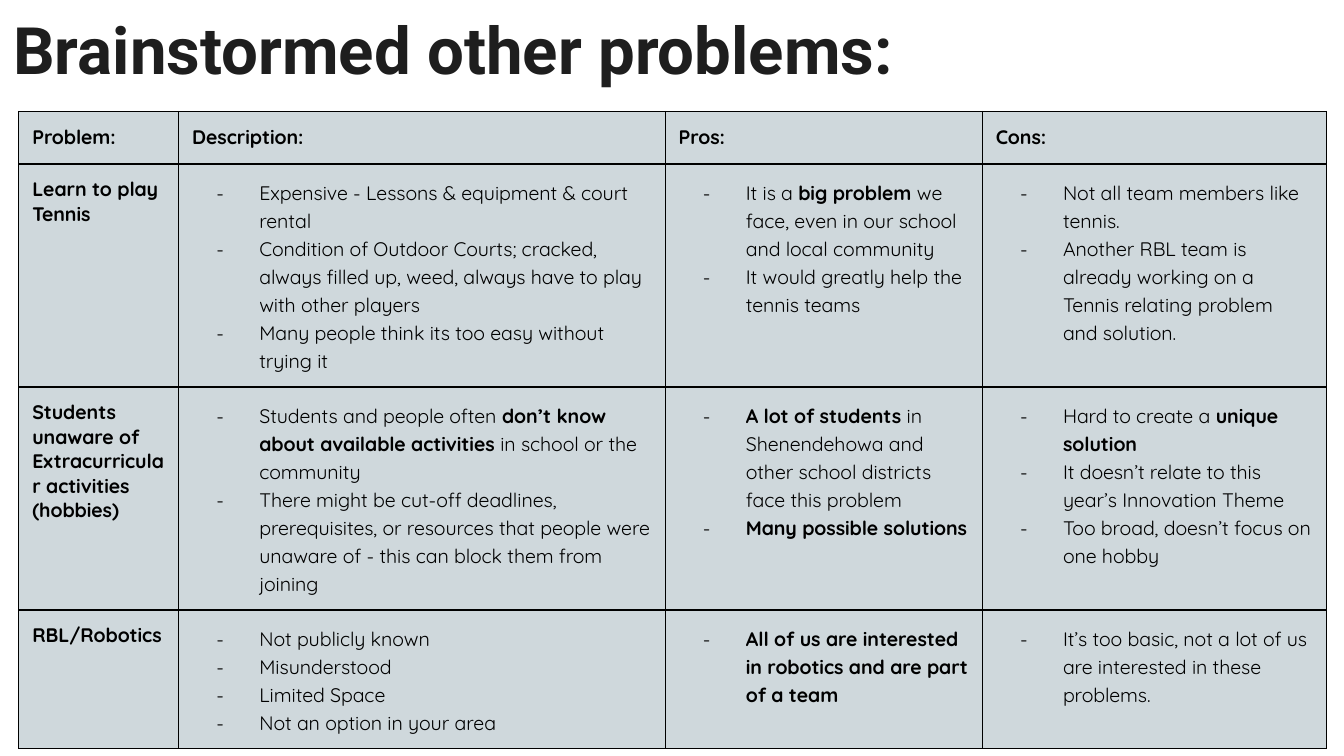
from lxml import etree
from pptx import Presentation, util as u
from pptx.dml.color import RGBColor
from pptx.enum import text
from pptx.oxml import ns

INK = RGBColor(0x1E, 0x1E, 0x1E)
BLACK = RGBColor(0, 0, 0)
PANEL = RGBColor(0xCF, 0xD8, 0xDC)

SLIDE_WIDTH = u.Inches(10)
SLIDE_HEIGHT = SLIDE_WIDTH * 9 // 16
TABLE_LEFT, TABLE_TOP = u.Inches(0.14), u.Inches(0.83)
COLUMNS = [1.19, 3.62, 2.36, 2.56]
ROWS = [0.39, 1.66, 1.66, 1.03]
MARGINS = dict.fromkeys(
    ["margin_left", "margin_top", "margin_right", "margin_bottom"], u.Inches(0.1))

TITLE_FONT = {"name": "Roboto", "size": u.Pt(35), "bold": True}
CELL_FONT = {"name": "Quicksand", "size": u.Pt(10.5)}

HEADINGS = ["Problem:", "Description:", "Pros:", "Cons:"]
# Each problem is followed by its lists; ** switches bold on and off.
PROBLEMS = [
    ("Learn to play Tennis",
     ["Expensive - Lessons & equipment & court rental",
      "Condition of Outdoor Courts; cracked, always filled up, weed, "
      "always have to play with other players",
      "Many people think its too easy without trying it"],
     ["It is a **big problem **we face, even in our school and local community",
      "It would greatly help the tennis teams"],
     ["Not all team members like tennis.",
      "Another RBL team is already working on a Tennis relating problem and solution."]),
    ("Students unaware of Extracurricular activities (hobbies)",
     ["Students and people often **don’t know about available activities** "
      "in school or the community",
      "There might be cut-off deadlines, prerequisites, or resources that people "
      "were unaware of - this can block them from joining"],
     ["**A lot of students** in Shenendehowa and other school districts face this problem",
      "**Many possible solutions**"],
     ["Hard to create a **unique solution**",
      "It doesn’t relate to this year’s Innovation Theme",
      "Too broad, doesn’t focus on one hobby"]),
    ("RBL/Robotics",
     ["Not publicly known", "Misunderstood", "Limited Space",
      "Not an option in your area"],
     ["**All of us are interested in robotics and are part of a team**"],
     ["It’s too basic, not a lot of us are interested in these problems."]),
]


def apply(target, values):
    for name, value in values.items():
        setattr(target, name, value)


def add_span(para, words, font, color):
    span = para.add_run()
    span.text = words
    apply(span.font, font)
    span.font.color.rgb = color


def add_color(parent, color):
    etree.SubElement(parent, ns.qn("a:srgbClr"), val=str(color))


def add_dash(para):
    """Give the paragraph a hanging dash as its bullet."""
    props = para._p.get_or_add_pPr()
    props.set("marL", str(u.Inches(0.5)))
    props.set("indent", str(u.Inches(-0.32)))
    add_color(etree.SubElement(props, ns.qn("a:buClr")), BLACK)
    etree.SubElement(props, ns.qn("a:buFont"), typeface=CELL_FONT["name"])
    etree.SubElement(props, ns.qn("a:buChar"), char="-")
    para.line_spacing = 1.15


def style_cell(cell):
    props = cell._tc.get_or_add_tcPr()
    for side in ("lnL", "lnR", "lnT", "lnB"):
        line = etree.SubElement(props, ns.qn(f"a:{side}"), w=str(u.Pt(0.75)))
        add_color(etree.SubElement(line, ns.qn("a:solidFill")), BLACK)
    cell.fill.solid()
    cell.fill.fore_color.rgb = PANEL
    apply(cell, MARGINS)


def fill_label(cell, words):
    add_span(cell.text_frame.paragraphs[0], words, CELL_FONT | {"bold": True}, BLACK)


def fill_list(cell, items):
    frame = cell.text_frame
    for index, item in enumerate(items):
        para = frame.add_paragraph() if index else frame.paragraphs[0]
        add_dash(para)
        for part, words in enumerate(item.split("**")):
            if words:
                add_span(para, words, CELL_FONT | {"bold": part % 2 == 1}, BLACK)


def add_title(page, words):
    box = page.shapes.add_textbox(0, 0, u.Inches(9.15), u.Inches(0.75))
    apply(box.text_frame, MARGINS | {
        "word_wrap": True, "vertical_anchor": text.MSO_ANCHOR.BOTTOM})
    add_span(box.text_frame.paragraphs[0], words, TITLE_FONT, INK)


def add_problem_table(page):
    table = page.shapes.add_table(
        len(ROWS), len(COLUMNS), TABLE_LEFT, TABLE_TOP,
        u.Inches(sum(COLUMNS)), u.Inches(sum(ROWS))).table
    apply(table, {"first_row": False, "horz_banding": False})
    for column, width in zip(table.columns, COLUMNS):
        column.width = u.Inches(width)
    for row, height in zip(table.rows, ROWS):
        row.height = u.Inches(height)
    for row, contents in zip(table.rows, [HEADINGS, *PROBLEMS]):
        for cell, content in zip(row.cells, contents):
            style_cell(cell)
            fill = fill_label if isinstance(content, str) else fill_list
            fill(cell, content)


def main():
    deck = Presentation()
    apply(deck, {"slide_width": SLIDE_WIDTH, "slide_height": SLIDE_HEIGHT})
    page = deck.slides.add_slide(deck.slide_layouts[6])
    add_title(page, "Brainstormed other problems:")
    add_problem_table(page)
    deck.save("out.pptx")


if __name__ == "__main__":
    main()
